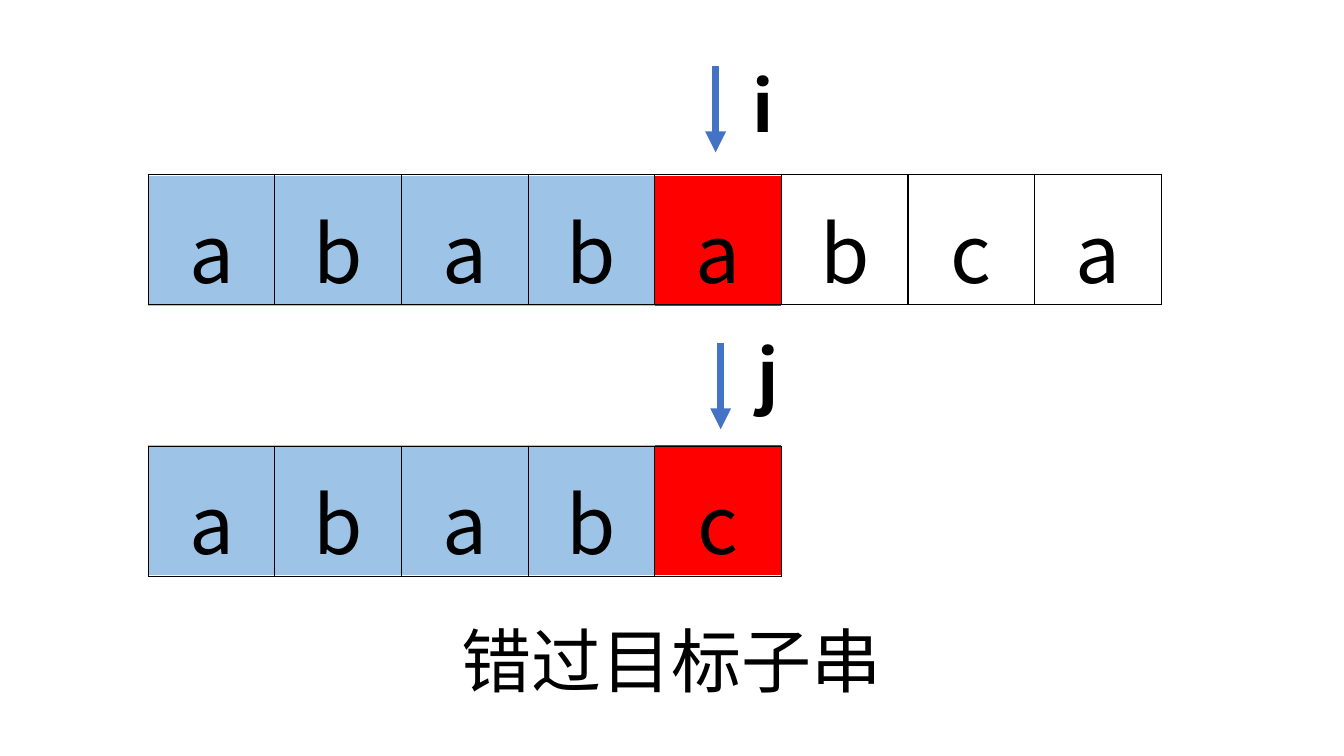
import pptx
import pptx.util
import pptx.dml.color
import pptx.enum.text
import pptx.enum.shapes
import pptx.oxml
import pptx.oxml.ns

HUES = {"ink": "000000", "match": "9DC3E6", "miss": "FF0000", "arrow": "4472C4"}
FONT = "Noto Sans CJK SC"
LEFT, TOP = 1.47, 1.73
WIDE, HIGH = 10.05 / 8, 1.29
NS = pptx.oxml.ns.nsdecls("a")
Inches, Pt = pptx.util.Inches, pptx.util.Pt


def node(text):
    return pptx.oxml.parse_xml(text)


def hue(name):
    return pptx.dml.color.RGBColor.from_string(HUES[name])


def size(cols, rows):
    return Inches(cols * WIDE), Inches(rows * HIGH)


def spot(col, row):
    return Inches(LEFT + col * WIDE), Inches(TOP + row * HIGH)


def style(frame, text, points, bold=False, align=None):
    frame.text = text
    line = frame.paragraphs[0]
    line.alignment = align
    font = line.runs[0].font
    font.name, font.size, font.bold = FONT, Pt(points), bold
    font.color.rgb = hue("ink")
    font._element.append(node(f'<a:ea {NS} typeface="{FONT}"/>'))


def border(cell, paint):
    props = cell._tc.get_or_add_tcPr()
    for side in ("lnL", "lnR", "lnT", "lnB"):
        props.append(node(f'<a:{side} {NS} w="12700">{paint}</a:{side}>'))


def grid(slide, count, row, paint):
    frame = slide.shapes.add_table(1, count, *spot(0, row), *size(count, 1))
    table = frame.table
    table.first_row = table.horz_banding = False
    for col in range(count):
        table.columns[col].width = Inches(WIDE)
        cell = table.cell(0, col)
        cell.margin_left = cell.margin_right = Inches(0.32)
        cell.margin_top = cell.margin_bottom = Inches(0.16)
        cell.vertical_anchor = pptx.enum.text.MSO_ANCHOR.MIDDLE
        border(cell, paint)
        cell.fill.background()
    return list(table.iter_cells())


def shade(slide, row, miss):
    for col, cell in enumerate(grid(slide, 8, row, "<a:noFill/>")):
        cell.text_frame.paragraphs[0]._p.append(node(
            f'<a:endParaRPr {NS} sz="5700"><a:latin typeface="{FONT}"/>'
            f'<a:ea typeface="{FONT}"/></a:endParaRPr>'))
        if col <= miss:
            cell.fill.solid()
            cell.fill.fore_color.rgb = hue("miss" if col == miss else "match")


def strip(slide, word, row):
    paint = f'<a:solidFill><a:srgbClr val="{HUES["ink"]}"/></a:solidFill>'
    for char, cell in zip(word, grid(slide, len(word), row, paint)):
        style(cell.text_frame, char, 57, align=pptx.enum.text.PP_ALIGN.CENTER)


def mark(slide, name, col, row, lift):
    group = slide.shapes.add_group_shape()
    arrow = group.shapes.add_connector(
        pptx.enum.shapes.MSO_CONNECTOR.STRAIGHT, *spot(col, row), *spot(col, row + 0.66))
    arrow.line.color.rgb = hue("arrow")
    arrow.line.width = Pt(5)
    arrow.line._get_or_add_ln().append(node(f'<a:tailEnd {NS} type="triangle"/>'))
    arrow._element.spPr.append(node(f"<a:effectLst {NS}/>"))
    label = group.shapes.add_textbox(*spot(col + 0.21, row - lift), *size(0.3, 0.73))
    label.text_frame.word_wrap = False
    label.text_frame.auto_size = pptx.enum.text.MSO_AUTO_SIZE.SHAPE_TO_FIT_TEXT
    style(label.text_frame, name, 50, bold=True)


def title(slide, text):
    shape = slide.shapes.title
    shape.left, shape.top = spot(2.39, 3.37)
    shape.width, shape.height = size(3.51, 0.73)
    frame = shape.text_frame
    frame.word_wrap = False
    frame.auto_size = pptx.enum.text.MSO_AUTO_SIZE.SHAPE_TO_FIT_TEXT
    frame.vertical_anchor = pptx.enum.text.MSO_ANCHOR.TOP
    style(frame, text, 50, align=pptx.enum.text.PP_ALIGN.LEFT)


def main():
    deck = pptx.Presentation()
    deck.slide_width, deck.slide_height = Inches(13.33), Inches(7.5)
    slide = deck.slides.add_slide(deck.slide_layouts[5])
    shade(slide, 2.08, miss=4)
    shade(slide, 0.01, miss=4)
    strip(slide, "abababca", 0)
    strip(slide, "ababc", 2.09)
    mark(slide, "i", 4.48, -0.83, 0.07)
    mark(slide, "j", 4.52, 1.3, 0.13)
    title(slide, "错过目标子串")
    deck.save("out.pptx")


main()
